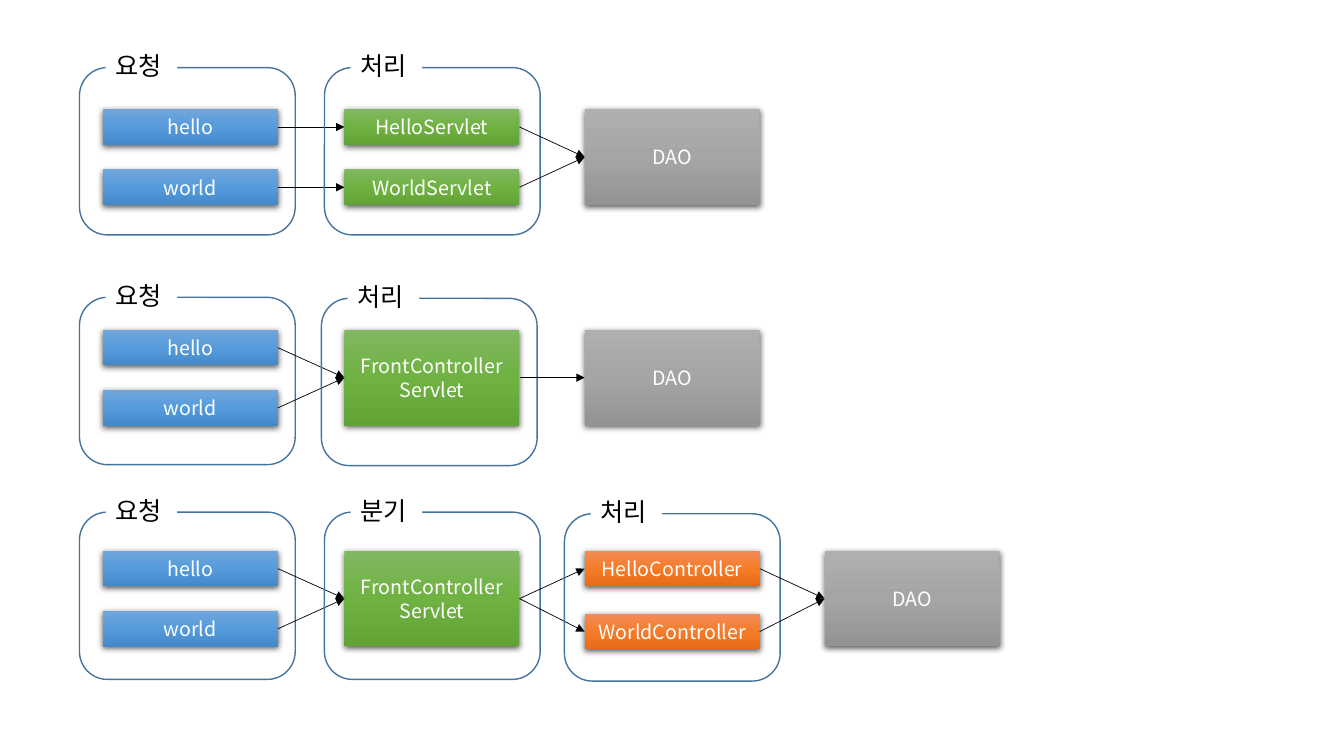
from copy import deepcopy
from itertools import product

from lxml.etree import SubElement
from pptx import Presentation
from pptx.dml.color import RGBColor
from pptx.enum.shapes import MSO_CONNECTOR, MSO_SHAPE
from pptx.enum.text import MSO_ANCHOR, MSO_AUTO_SIZE, PP_ALIGN
from pptx.oxml.ns import qn
from pptx.util import Pt

FONT = "Noto Sans CJK KR"
BLACK = RGBColor(0, 0, 0)
WHITE = RGBColor(255, 255, 255)
FRAME_LINE = RGBColor(0x43, 0x73, 0x9E)


def shades(*codes):
    return [RGBColor.from_string(code) for code in codes]


BLUE = shades("71A6DB", "559BDB", "448ACA")
GREEN = shades("81B861", "6FB242", "62A336")
ORANGE = shades("F18C57", "F67B28", "E56C19")
GRAY = shades("AFAFAF", "A5A5A5", "939393")

# Sizes in points
BOX_W, BOX_H, TALL_H = 125.1, 25.5, 68.4
COLUMNS = (0, 172.6, 344.2, 515.6)
FRAME_W, FRAME_H = 154.1, 119.5
LABEL_W, LABEL_H = 51.1, 29.1


def write(shape, text, size, color, align):
    shape.text_frame.text = text
    for paragraph in shape.text_frame.paragraphs:
        paragraph.alignment = align
        for run in paragraph.runs:
            run.font.size = Pt(size)
            run.font.name = FONT
            run.font.color.rgb = color
            SubElement(run.font._element, qn("a:ea"), typeface=FONT)


def shade(shape, colors):
    """Vertical three-stop gradient with a soft shadow below."""
    shape.fill.gradient()
    shape.fill.gradient_angle = 270
    stop_list = shape._element.spPr.find(".//" + qn("a:gsLst"))
    stop_list.insert(1, deepcopy(stop_list[0]))
    for stop, position, color in zip(shape.fill.gradient_stops, (0, 0.5, 1), colors):
        stop.position = position
        stop.color.rgb = color
    shape.line.fill.background()
    shape.shadow.inherit = False
    effects = shape._element.spPr.find(qn("a:effectLst"))
    outer = SubElement(effects, qn("a:outerShdw"), blurRad=str(Pt(4.5)),
                       dist=str(Pt(1.5)), dir="5400000", algn="ctr", rotWithShape="0")
    black = SubElement(outer, qn("a:srgbClr"), val="000000")
    SubElement(black, qn("a:alpha"), val="63000")


def add_box(shapes, left, top, height, text, colors):
    box = shapes.add_shape(MSO_SHAPE.RECTANGLE, Pt(left), Pt(top), Pt(BOX_W), Pt(height))
    shade(box, colors)
    box.text_frame.vertical_anchor = MSO_ANCHOR.MIDDLE
    write(box, text, 14, WHITE, PP_ALIGN.CENTER)
    return box


def add_arrow(shapes, source, target):
    arrow = shapes.add_connector(MSO_CONNECTOR.STRAIGHT, 0, 0, 0, 0)
    arrow.begin_connect(source, 3)
    arrow.end_connect(target, 1)
    arrow.line.color.rgb = BLACK
    arrow.line.width = Pt(0.5)
    SubElement(arrow.line._get_or_add_ln(), qn("a:tailEnd"), type="triangle")
    SubElement(arrow._element.spPr, qn("a:effectLst"))


def add_frame(shapes, left, top, title):
    """Rounded outline whose title interrupts the upper edge."""
    group = shapes.add_group_shape().shapes
    outline = group.add_shape(MSO_SHAPE.ROUNDED_RECTANGLE, Pt(left), Pt(top),
                              Pt(FRAME_W), Pt(FRAME_H))
    outline.fill.background()
    outline.line.color.rgb = FRAME_LINE
    outline.line.width = Pt(1)
    outline.shadow.inherit = False

    label = group.add_textbox(Pt(left + 18.7), Pt(top - 15.8), Pt(LABEL_W), Pt(LABEL_H))
    label.fill.solid()
    label.fill.fore_color.rgb = WHITE
    label.text_frame.word_wrap = False
    label.text_frame.auto_size = MSO_AUTO_SIZE.SHAPE_TO_FIT_TEXT
    write(label, title, 18, BLACK, PP_ALIGN.LEFT)


def add_flow(shapes, left, top, stages):
    """One row: stages of (names, colors, pitch, frame), linked left to right."""
    previous = []
    for column, (names, colors, pitch, frame) in zip(COLUMNS, stages):
        height = TALL_H if len(names) == 1 else BOX_H
        boxes = [add_box(shapes, left + column, top + i * pitch, height, name, colors)
                 for i, name in enumerate(names)]
        paired = len(previous) == len(boxes) == 2
        links = zip(previous, boxes) if paired else product(previous, boxes)
        for source, target in links:
            add_arrow(shapes, source, target)
        if frame:
            title, dx, dy = frame
            add_frame(shapes, left + column + dx, top + dy, title)
        previous = boxes


def requests(dy):
    return ["hello", "world"], BLUE, 43, ("요청", -16.6, dy)


def front_controller(title, dx, dy):
    return ["FrontController\nServlet"], GREEN, 0, (title, dx, dy)


DAO = (["DAO"], GRAY, 0, None)
FLOWS = [
    # One servlet per request
    (78, [requests(-29.7),
          (["HelloServlet", "WorldServlet"], GREEN, 43, ("처리", -14.2, -29.7)),
          DAO]),
    # A single front controller
    (235.6, [requests(-23.2), front_controller("처리", -16.4, -22.5), DAO]),
    # A front controller that branches to controllers
    (393.4, [requests(-27.6), front_controller("분기", -14.2, -27.6),
             (["HelloController", "WorldController"], ORANGE, 45, ("처리", -14.4, -26.4)),
             DAO]),
]

deck = Presentation()
deck.slide_width, deck.slide_height = Pt(960), Pt(540)
slide = deck.slides.add_slide(deck.slide_layouts[6])
for flow_top, flow_stages in FLOWS:
    add_flow(slide.shapes, 73.4, flow_top, flow_stages)
deck.save("out.pptx")
